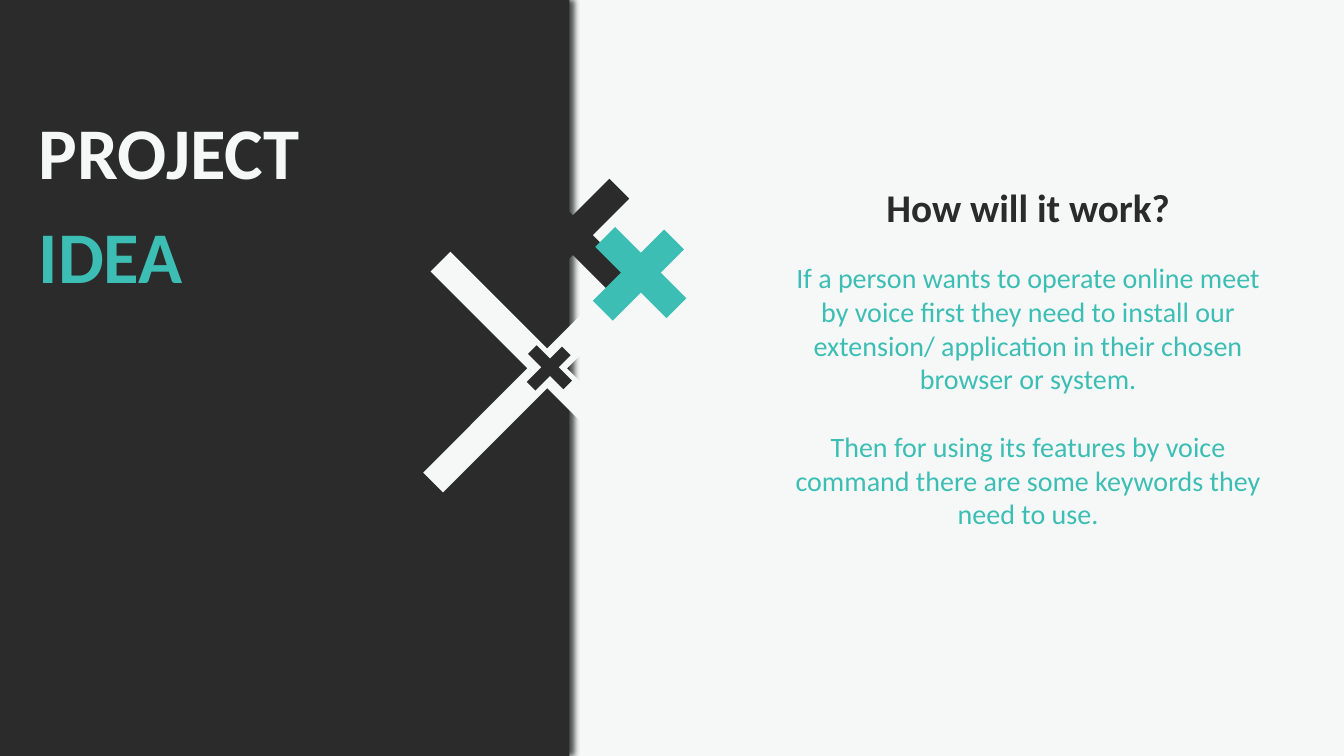
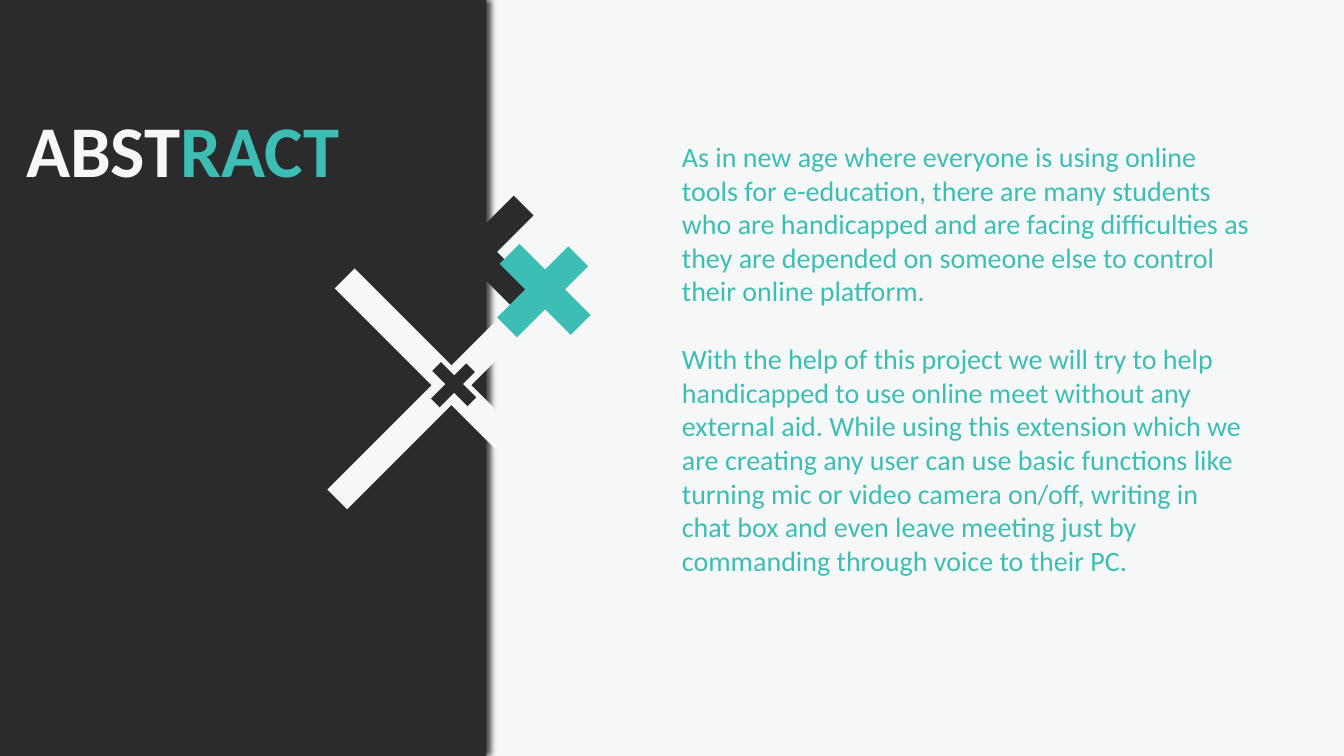
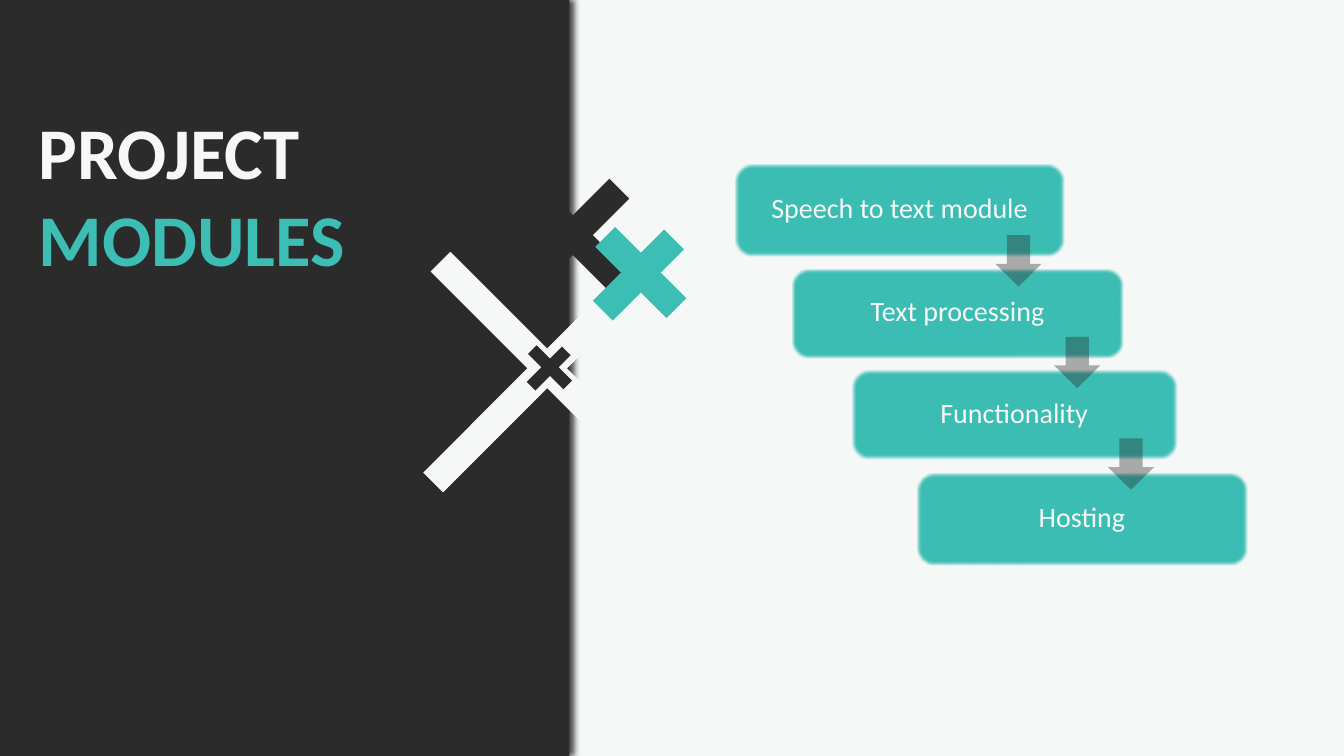
from lxml import etree
from pptx import Presentation
from pptx.dml.color import RGBColor
from pptx.enum.shapes import MSO_CONNECTOR, MSO_SHAPE
from pptx.enum.text import MSO_ANCHOR, MSO_AUTO_SIZE, PP_ALIGN
from pptx.oxml.ns import qn
from pptx.util import Emu, Pt

STRAIGHT = MSO_CONNECTOR.STRAIGHT
RECTANGLE = MSO_SHAPE.RECTANGLE
ROUNDED = MSO_SHAPE.ROUNDED_RECTANGLE
DOWN_ARROW = MSO_SHAPE.DOWN_ARROW
TOP, MIDDLE = MSO_ANCHOR.TOP, MSO_ANCHOR.MIDDLE
LEFT, CENTER = PP_ALIGN.LEFT, PP_ALIGN.CENTER
NO_FIT = MSO_AUTO_SIZE.NONE

COLUMNS, ROWS = 160, 90
CELL = 76200
TITLE_ONLY = 5
FONT = "Calibri"
COLORS = {"paper": "F6F8F8", "dark": "2B2B2B", "teal": "3CBEB4", "black": "000000"}

WIDE_BAND, NARROW_BAND = 67.8, 57.9
CROSSES = [
    (64.7, 44.3, 12.7, "paper", 20),
    (65.4, 43.8, 2.1, "dark", 8.75),
    (68, 28.2, 5.94, "dark", 20),
    (76.15, 32.6, 4.24, "teal", 20),
]
MODULES = [
    ("Speech to text module", 87.4, 19.4, 39.4, 11.2),
    ("Text processing", 94.2, 31.9, 39.6, 10.8),
    ("Functionality", 101.3, 44, 38.9, 10.8),
    ("Hosting", 109.1, 56.2, 39.4, 11.2),
]


def cells(*counts):
    return [Emu(round(count * CELL)) for count in counts]


def color(name):
    return RGBColor.from_string(COLORS[name])


def add_effect(shape, tag, **attributes):
    effects = shape.element.spPr.find(qn("a:effectLst"))
    return etree.SubElement(effects, qn(tag), attributes)


def add_color_xml(parent, name, alpha):
    tone = etree.SubElement(parent, qn("a:srgbClr"), val=COLORS[name])
    etree.SubElement(tone, qn("a:alpha"), val=str(alpha * 1000))


def add_block(page, kind, area, fill):
    shape = page.shapes.add_shape(kind, *cells(*area))
    shape.shadow.inherit = False
    shape.fill.solid()
    shape.fill.fore_color.rgb = color(fill)
    shape.line.fill.background()
    return shape


def write(frame, paragraphs, align=LEFT, anchor=TOP):
    frame.word_wrap = True
    frame.auto_size = NO_FIT
    frame.vertical_anchor = anchor
    for index, (spans, size, bold, before, after) in enumerate(paragraphs):
        para = frame.paragraphs[0] if index == 0 else frame.add_paragraph()
        para.alignment = align
        para.space_before = Pt(before)
        para.space_after = Pt(after)
        for text, tone in spans:
            span = para.add_run()
            span.text = text
            span.font.name = FONT
            span.font.size = Pt(size)
            span.font.bold = bold
            span.font.color.rgb = color(tone)


def add_cross(page, x, y, half, tone, weight):
    group = page.shapes.add_group_shape()
    skew = 0.035 * half
    for side in (1, -1):
        center_x, center_y = x - side * skew, y + side * skew
        line = group.shapes.add_connector(STRAIGHT, *cells(
            center_x + half, center_y - side * half,
            center_x - half, center_y + side * half))
        line.line.color.rgb = color(tone)
        line.line.width = Pt(weight)
        etree.SubElement(line.element.spPr, qn("a:effectLst"))


def add_page(deck, title_lines, title_area, band_edge, shift=(0, 0)):
    page = deck.slides.add_slide(deck.slide_layouts[TITLE_ONLY])
    title = page.shapes.title
    title.left, title.top, title.width, title.height = cells(*title_area)
    write(title.text_frame, [(spans, 52, True, 0, 12) for spans in title_lines])
    band = add_block(page, RECTANGLE, (-0.4, 0, band_edge + 0.4, ROWS), "dark")
    shadow = add_effect(band, "a:outerShdw", blurRad=str(Pt(4)), dist=str(Pt(3)), dir="0")
    add_color_xml(shadow, "black", 69)
    title.element.addprevious(band.element)
    for x, y, half, tone, weight in CROSSES:
        add_cross(page, x + shift[0], y + shift[1], half, tone, weight)
    return page


def add_text(page, area, paragraphs, align=LEFT):
    box = page.shapes.add_textbox(*cells(*area))
    write(box.text_frame, paragraphs, align)


def body(text, before=0):
    return [(text, "teal")], 20, False, before, 0


def add_module(page, name, left, top, width, height):
    box = add_block(page, ROUNDED, (left, top, width, height), "teal")
    box.line.color.rgb = color("paper")
    box.line.width = Pt(1)
    add_effect(box, "a:softEdge", rad=str(Pt(2.5)))
    write(box.text_frame, [([(name, "paper")], 20, False, 0, 0)], CENTER, MIDDLE)
    box.text_frame.margin_bottom = cells(1.3)[0]


def add_step_arrow(page, left, top, width, height):
    area = (left + width - 8.3, top + height - 2.6, 5.5, 6.1)
    arrow = add_block(page, DOWN_ARROW, area, "dark")
    arrow.adjustments[1] = 0.49
    tone = arrow.element.spPr.find(qn("a:solidFill")).find(qn("a:srgbClr"))
    etree.SubElement(tone, qn("a:alpha"), val="38000")


def main():
    deck = Presentation()
    deck.slide_width, deck.slide_height = cells(COLUMNS, ROWS)
    backdrop = deck.slide_master.background.fill
    backdrop.solid()
    backdrop.fore_color.rgb = color("paper")

    idea = add_page(deck, [[("PROJECT", "paper")], [("IDEA", "teal")]],
                    (3.4, 12.1, 59.3, 24.2), WIDE_BAND)
    add_text(idea, (91.7, 21.2, 61.4, 42.8), [
        ([("How will it work?", "dark")], 28, True, 0, 0),
        body("If a person wants to operate online meet by voice first they need to "
             "install our extension/ application in their chosen browser or system.", 22),
        body("Then for using its features by voice command there are some keywords "
             "they need to use.", 24.4),
    ], CENTER)

    abstract = add_page(deck, [[("ABST", "paper"), ("RACT", "teal")]],
                        (1.9, 11.9, 59.3, 11.8), NARROW_BAND, (-11.4, 2))
    add_text(abstract, (80, 16, 70, 57.7), [
        body("As in new age where everyone is using online tools for e-education, there "
             "are many students who are handicapped and are facing difficulties as they "
             "are depended on someone else to control their online platform."),
        body("With the help of this project we will try to help handicapped to use online "
             "meet without any external aid. While using this extension which we are "
             "creating any user can use basic functions like turning mic or video camera "
             "on/off, writing in chat box and even leave meeting just by commanding "
             "through voice to their PC.", 24.4),
    ])

    modules = add_page(deck, [[("PROJECT ", "paper"), ("MODULES", "teal")]],
                       (3.4, 12.1, 59.3, 22.2), WIDE_BAND)
    for name, *area in MODULES:
        add_module(modules, name, *area)
    for name, *area in MODULES[:-1]:
        add_step_arrow(modules, *area)

    deck.save("out.pptx")


if __name__ == "__main__":
    main()
